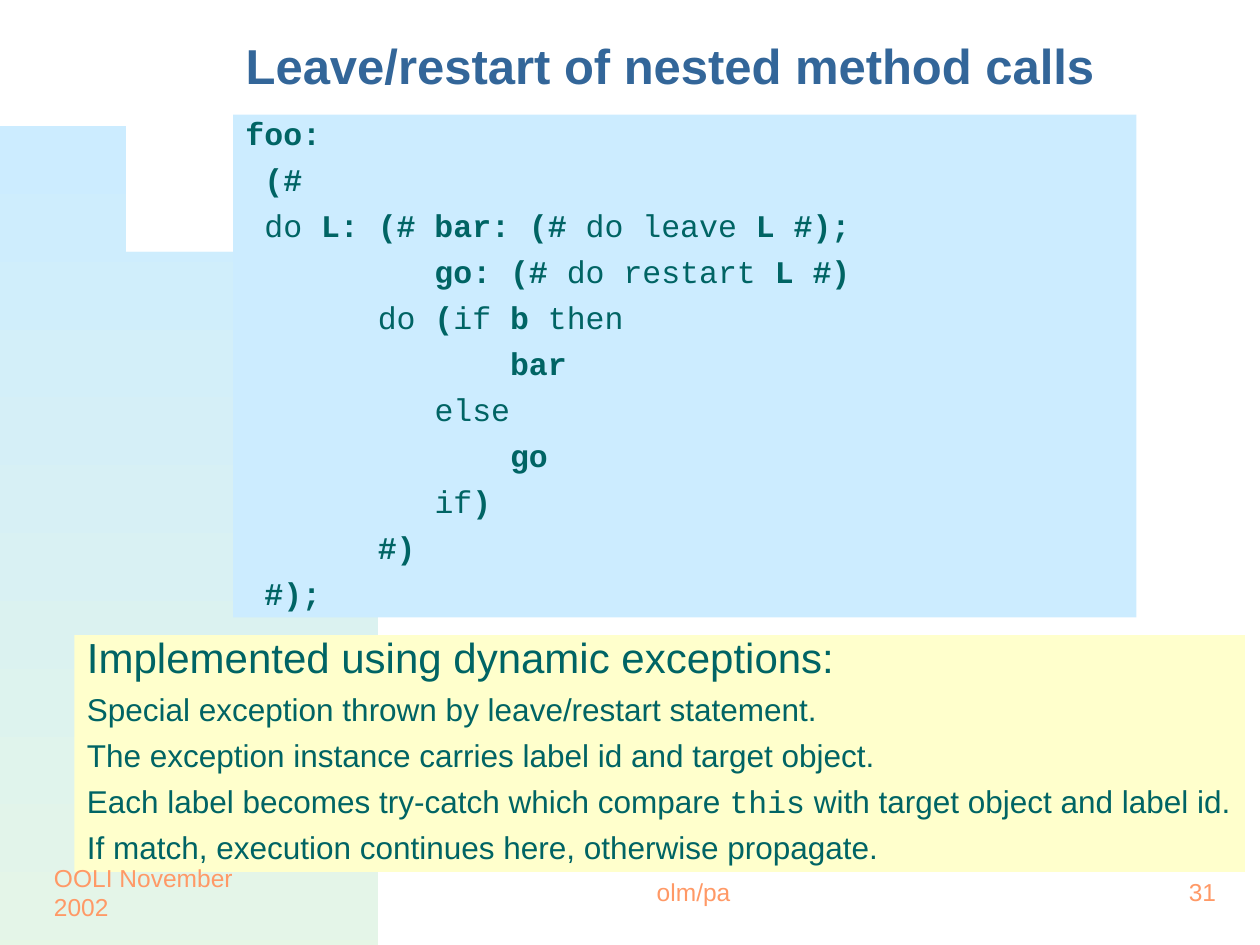
import math

import pptx
import pptx.dml.color
import pptx.enum.dml
import pptx.enum.shapes
import pptx.enum.text
import pptx.oxml
import pptx.oxml.ns
import pptx.util
from pptx.util import Inches

RGBColor = pptx.dml.color.RGBColor
ALIGN = pptx.enum.text.PP_ALIGN
ANCHOR = pptx.enum.text.MSO_ANCHOR

TITLE_BLUE = RGBColor(0x33, 0x66, 0x99)
SKY = RGBColor(0xCC, 0xEC, 0xFF)
MINT = RGBColor(0xE6, 0xF6, 0xE6)
CREAM = RGBColor(0xFF, 0xFF, 0xCC)
TEAL = RGBColor(0x00, 0x64, 0x64)
ORANGE = RGBColor(0xFF, 0x99, 0x66)

# A bar switches between bold and plain type
CODE = """foo:
 (#
 |do| L: (# bar: (# |do leave| L #);
          go: (# |do restart| L #)
       |do| (|if| b |then
              bar
          |else
              go
          |if|)
       #)
 #);""".split("\n")

NOTES = [
    "Implemented using dynamic exceptions:",
    "Special exception thrown by leave/restart statement.",
    "The exception instance carries label id and target object.",
    "Each label becomes try-catch which compare |this| with target object and label id.",
    "If match, execution continues here, otherwise propagate.",
]

FOOTERS = [
    (0.33, 2.08, "OOLI November 2002", ALIGN.LEFT),
    (3.92, 3.17, "olm/pa", ALIGN.CENTER),
    (7.67, 2.08, "31", ALIGN.RIGHT),
]


def place(shape, left, top, width, height):
    shape.left, shape.top = Inches(left), Inches(top)
    shape.width, shape.height = Inches(width), Inches(height)


def prepare_frame(shape, anchor):
    frame = shape.text_frame
    frame.word_wrap = True
    frame.auto_size = pptx.enum.text.MSO_AUTO_SIZE.NONE
    frame.vertical_anchor = anchor
    return frame


def set_font(font, name, size, color, bold=False):
    font.name = name
    font.size = pptx.util.Pt(size)
    font.color.rgb = color
    font.bold = bold


def fill_solid(shape, color):
    shape.fill.solid()
    shape.fill.fore_color.rgb = color
    shape.line.fill.background()


def add_line(frame, index, text):
    """Add one unbulleted, hanging line whose runs are split at the bars."""
    paragraph = frame.add_paragraph() if index else frame.paragraphs[0]
    properties = paragraph._p.get_or_add_pPr()
    properties.set("marL", str(Inches(0.38)))
    properties.set("indent", str(-Inches(0.38)))
    properties.append(pptx.oxml.parse_xml(
        f"<a:buNone {pptx.oxml.ns.nsdecls('a')}/>"))
    paragraph.alignment = ALIGN.LEFT
    paragraph.line_spacing = 0.8
    paragraph.space_before = pptx.util.Pt(9 if index else 0)
    for part in text.split("|"):
        if part:
            paragraph.add_run().text = part
    return paragraph


def add_arc(slide):
    """Quarter ellipse in the lower left, running off the slide's edges."""
    radius_x, radius_y, bottom = 3.17, 6.58, 7.5
    steps = 90
    angles = [math.pi / 2 * step / steps for step in range(steps + 1)]
    points = [(radius_x * math.sin(angle), bottom - radius_y * math.cos(angle))
              for angle in angles]
    builder = slide.shapes.build_freeform(0, bottom, scale=Inches(1))
    builder.add_line_segments(points, close=True)
    arc = builder.convert_to_shape()
    arc.shadow.inherit = False
    arc.fill.gradient()
    arc.fill.gradient_angle = 270
    for stop, color in zip(arc.fill.gradient_stops, (SKY, MINT)):
        stop.color.rgb = color
    arc.line.fill.background()


def add_title(slide):
    title = slide.shapes.title
    place(title, 1.85, 0.36, 7.88, 0.43)
    paragraph = prepare_frame(title, ANCHOR.MIDDLE).paragraphs[0]
    paragraph.text = "Leave/restart of nested method calls"
    paragraph.alignment = ALIGN.LEFT
    paragraph.line_spacing = 0.7
    set_font(paragraph.font, "Arial", 28, TITLE_BLUE, True)


def add_code(slide):
    box = slide.shapes.add_shape(
        pptx.enum.shapes.MSO_SHAPE.RECTANGLE,
        Inches(1.85), Inches(0.91), Inches(7.17), Inches(3.99))
    box.shadow.inherit = False
    fill_solid(box, SKY)
    frame = prepare_frame(box, ANCHOR.TOP)
    bold = True
    for index, line in enumerate(CODE):
        paragraph = add_line(frame, index, line)
        set_font(paragraph.font, "Courier New", 18, TEAL, True)
        for run in paragraph.runs:
            words = run.text.split()
            bold = not words or words[0] not in ("do", "if", "then", "else")
            run.font.bold = bold
            run.font.color.rgb = TEAL


def add_notes(slide):
    body = slide.placeholders[1]
    place(body, 0.59, 5.04, 9.29, 1.88)
    fill_solid(body, CREAM)
    frame = prepare_frame(body, ANCHOR.TOP)
    for index, line in enumerate(NOTES):
        paragraph = add_line(frame, index, line)
        set_font(paragraph.font, "Arial", 18 if index else 24, TEAL)
        for run in paragraph.runs:
            if run.text == "this":
                run.font.name = "Courier New"


def add_footer(slide, left, width, text, alignment):
    box = slide.shapes.add_textbox(
        Inches(left), Inches(6.83), Inches(width), Inches(0.5))
    paragraph = prepare_frame(box, ANCHOR.MIDDLE).paragraphs[0]
    paragraph.text = text
    paragraph.alignment = alignment
    set_font(paragraph.font, "Arial", 14, ORANGE)


def main():
    presentation = pptx.Presentation()
    presentation.slide_width = Inches(10)
    presentation.slide_height = Inches(7.5)
    slide = presentation.slides.add_slide(presentation.slide_layouts[1])

    # Background arc goes behind the placeholders
    add_arc(slide)
    tree = slide.shapes._spTree
    tree.insert(2, slide.shapes[-1]._element)

    add_title(slide)
    add_code(slide)
    add_notes(slide)
    for footer in FOOTERS:
        add_footer(slide, *footer)
    presentation.save("out.pptx")


if __name__ == "__main__":
    main()
